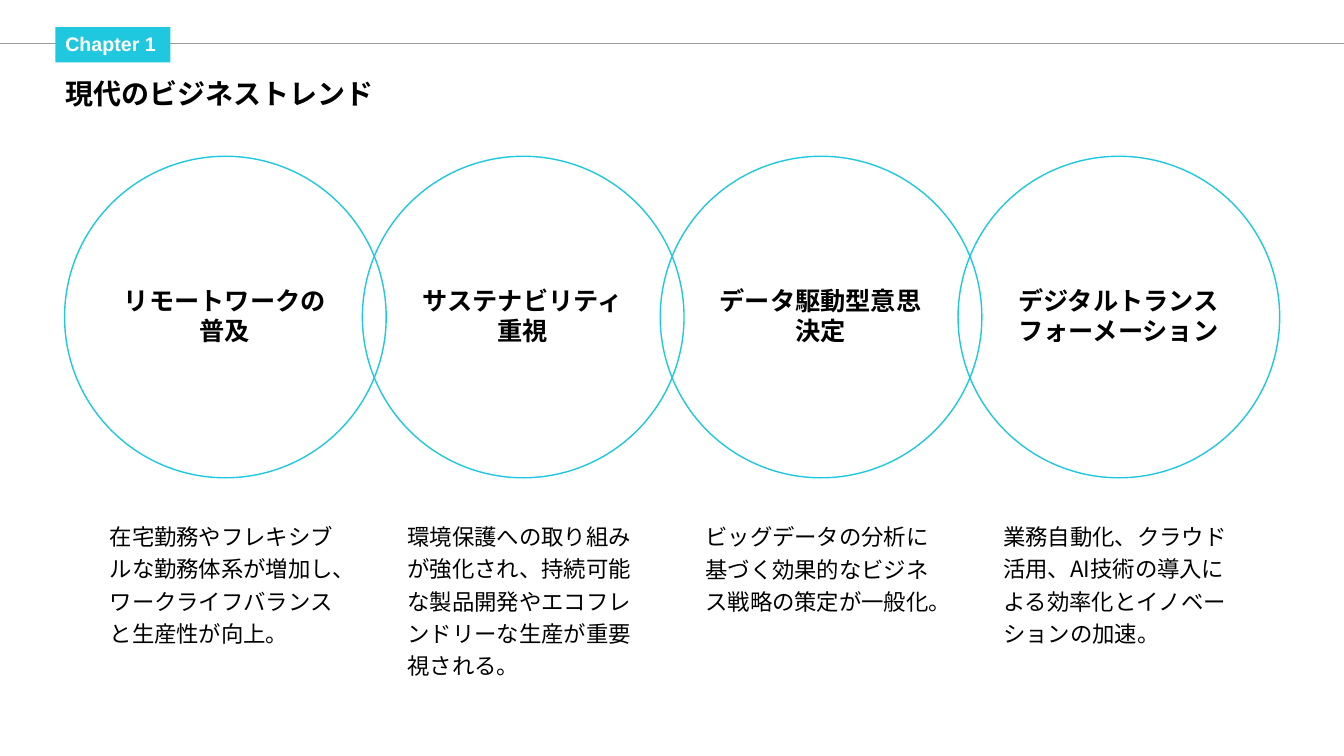
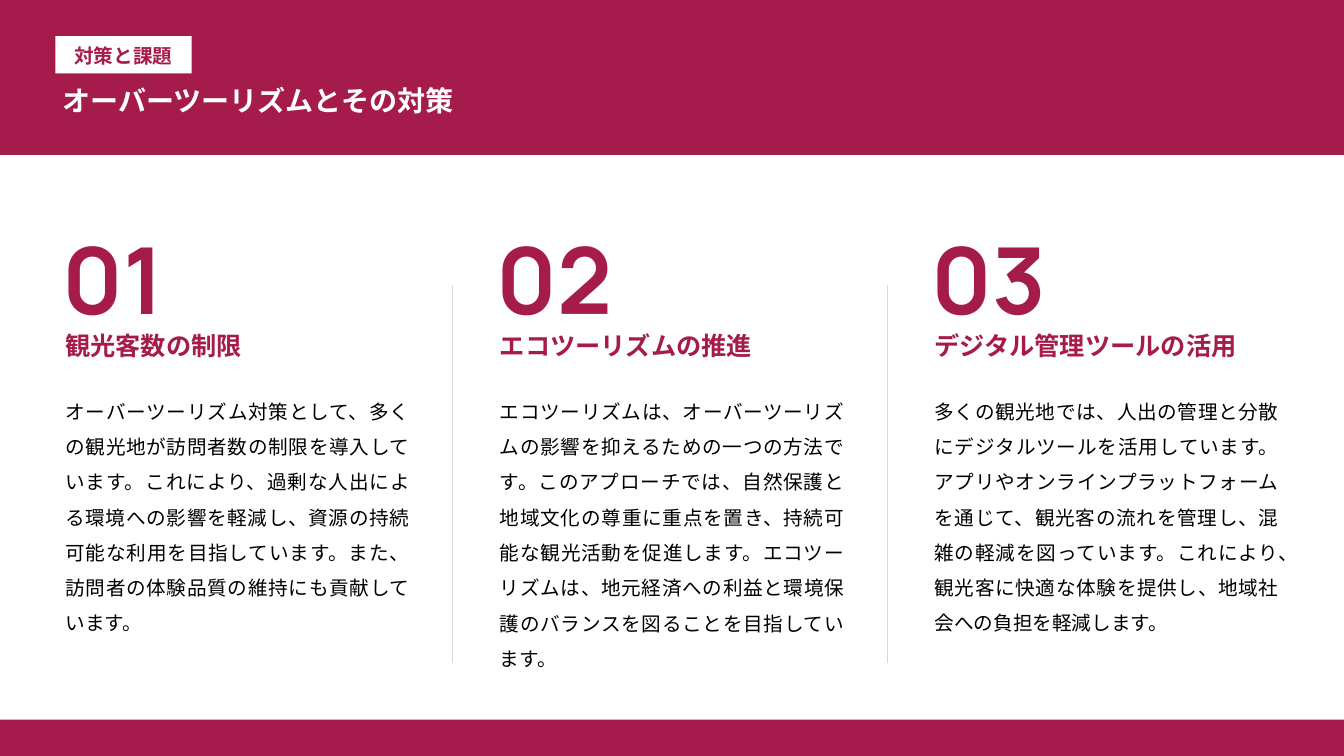
from lxml import etree
from pptx import Presentation
from pptx import util as u
from pptx.dml import color
from pptx.enum import lang, shapes, text
from pptx.oxml import ns

WIDTH, HEIGHT = 13.33, 7.5
JAPANESE_FONT = "Noto Sans CJK JP"
CYAN, CRIMSON, WHITE, BLACK = "1FC8DF", "A51B4C", "FFFFFF", "000000"
RULE_GREY, DIVIDER_GREY = "999999", "D9D9D9"
LEFT, CENTER, JUSTIFY = text.PP_ALIGN.LEFT, text.PP_ALIGN.CENTER, text.PP_ALIGN.JUSTIFY
RECTANGLE, OVAL = shapes.MSO_SHAPE.RECTANGLE, shapes.MSO_SHAPE.OVAL

TITLE = {"size": 20, "bold": True}
TAG = {"size": 14, "bold": True}
TREND_NAME = {"size": 18, "bold": True, "name": JAPANESE_FONT}
TREND_BODY = {"size": 16, "name": JAPANESE_FONT}
MEASURE_NUMBER = {"size": 66, "bold": True, "name": "Manrope"}
MEASURE_NAME = {"size": 18, "bold": True, "name": "Karla"}
MEASURE_BODY = {"size": 14, "name": "Karla"}

TRENDS = [
    ("リモートワークの普及",
     "在宅勤務やフレキシブルな勤務体系が増加し、ワークライフバランスと生産性が向上。", 1.37),
    ("サステナビリティ重視",
     "環境保護への取り組みが強化され、持続可能な製品開発やエコフレンドリーな生産が重要視される。", 1.7),
    ("データ駆動型意思決定",
     "ビッグデータの分析に基づく効果的なビジネス戦略の策定が一般化。", 1.05),
    ("デジタルトランスフォーメーション",
     "業務自動化、クラウド活用、AI技術の導入による効率化とイノベーションの加速。", 1.37),
]
MEASURES = [
    ("観光客数の制限",
     "オーバーツーリズム対策として、多くの観光地が訪問者数の制限を導入しています。"
     "これにより、過剰な人出による環境への影響を軽減し、資源の持続可能な利用を目指しています。"
     "また、訪問者の体験品質の維持にも貢献しています。", 2.53),
    ("エコツーリズムの推進",
     "エコツーリズムは、オーバーツーリズムの影響を抑えるための一つの方法です。"
     "このアプローチでは、自然保護と地域文化の尊重に重点を置き、持続可能な観光活動を促進します。"
     "エコツーリズムは、地元経済への利益と環境保護のバランスを図ることを目指しています。", 2.89),
    ("デジタル管理ツールの活用",
     "多くの観光地では、人出の管理と分散にデジタルツールを活用しています。"
     "アプリやオンラインプラットフォームを通じて、観光客の流れを管理し、混雑の軽減を図っています。"
     "これにより、観光客に快適な体験を提供し、地域社会への負担を軽減します。", 2.53),
]


def rgb(value):
    """Turn a hex string into a colour."""
    return color.RGBColor.from_string(value)


def lengths(*values):
    """Turn numbers into inches."""
    return [u.Inches(value) for value in values]


def write(box, words, style, ink, align=LEFT, spacing=None, top_inset=0.05):
    """Write one styled paragraph into a box that grows with its text."""
    frame = box.text_frame
    layout = {"word_wrap": True, "auto_size": text.MSO_AUTO_SIZE.SHAPE_TO_FIT_TEXT,
              "vertical_anchor": text.MSO_ANCHOR.TOP, "margin_top": u.Inches(top_inset)}
    for key, value in layout.items():
        setattr(frame, key, value)
    para = frame.paragraphs[0]
    para.alignment = align
    para.line_spacing = spacing
    span = para.add_run()
    span.text = words
    values = {**style, "size": u.Pt(style["size"]), "language_id": lang.MSO_LANGUAGE_ID.JAPANESE}
    for key, value in values.items():
        setattr(span.font, key, value)
    span.font.color.rgb = rgb(ink)
    latin = span.font._element.find(ns.qn("a:latin"))
    east_asian = etree.Element(ns.qn("a:ea"), typeface=JAPANESE_FONT)
    latin.addnext(east_asian)


def add_text(page, at, words, style, ink, **layout):
    """Add a text box."""
    write(page.shapes.add_textbox(*lengths(*at)), words, style, ink, **layout)


def add_figure(page, kind, at, fill=None, line=None):
    """Add a flat shape with an optional fill and outline."""
    box = page.shapes.add_shape(kind, *lengths(*at))
    box.shadow.inherit = False
    if fill:
        box.fill.solid()
        box.fill.fore_color.rgb = rgb(fill)
    else:
        box.fill.background()
    if line:
        box.line.color.rgb = rgb(line)
        box.line.width = u.Pt(1)
    else:
        box.line.fill.background()
    return box


def add_rule(page, start, end, ink, weight):
    """Add a straight line without a shadow."""
    rule = page.shapes.add_connector(shapes.MSO_CONNECTOR.STRAIGHT, *lengths(*start, *end))
    rule.line.color.rgb = rgb(ink)
    rule.line.width = u.Pt(weight)
    etree.SubElement(rule._element.spPr, ns.qn("a:effectLst"))


def add_heading(page, tag, tag_at, title, title_at, fill, tag_ink, title_ink, fonts, **tag_layout):
    """Add the small tag and the title below it."""
    tag_font, title_font = fonts
    box = add_figure(page, RECTANGLE, tag_at, fill)
    write(box, tag, {**TAG, "name": tag_font}, tag_ink, **tag_layout)
    add_text(page, title_at, title, {**TITLE, "name": title_font}, title_ink)


def add_page(deck, background):
    """Add a blank slide with a plain background."""
    page = deck.slides.add_slide(deck.slide_layouts[6])
    page.background.fill.solid()
    page.background.fill.fore_color.rgb = rgb(background)
    return page


def add_trend(page, left, top, name, body, body_height):
    """Add a ring with its name and the description below."""
    add_figure(page, OVAL, (left, top, 3.19, 3.19), line=CYAN)
    add_text(page, (left + 0.47, top + 1.23, 2.24, 0.71), name, TREND_NAME, BLACK, align=CENTER)
    add_text(page, (left + 0.35, top + 3.54, 2.47, body_height), body, TREND_BODY, BLACK,
             spacing=1.2)


def add_measure(page, left, top, number, name, body, body_height):
    """Add a numbered column with its name and text."""
    add_text(page, (left - 0.03, top, 2.6, 1.61), f"{number:02d}", MEASURE_NUMBER, CRIMSON,
             spacing=1.5)
    add_text(page, (left, top + 1.48, 3.47, 0.52), name, MEASURE_NAME, CRIMSON, spacing=1.5)
    add_text(page, (left, top + 2.2, 3.61, body_height), body, MEASURE_BODY, BLACK,
             align=JUSTIFY, spacing=1.5)


def build_trends(deck):
    """Build the slide with four linked rings."""
    page = add_page(deck, WHITE)
    add_rule(page, (0, 0.43), (WIDTH, 0.43), RULE_GREY, 0.75)
    add_heading(page, "Chapter 1", (0.55, 0.27, 1.14, 0.35),
                "現代のビジネストレンド", (0.55, 0.71, 4.76, 0.44),
                CYAN, WHITE, BLACK, ("Arial", JAPANESE_FONT))
    left, pitch = 0.64, 2.954
    for index, trend in enumerate(TRENDS):
        add_trend(page, left + index * pitch, 1.55, *trend)


def build_measures(deck):
    """Build the slide with three numbered columns."""
    page = add_page(deck, CRIMSON)
    add_figure(page, RECTANGLE, (0, 1.54, WIDTH, 5.6), WHITE)
    add_heading(page, "対策と課題", (0.55, 0.36, 1.35, 0.37),
                "オーバーツーリズムとその対策", (0.52, 0.78, 4.76, 0.44),
                WHITE, CRIMSON, WHITE, ("Karla", "Karla"), align=CENTER, top_inset=0.08)
    left, pitch = 0.55, 4.31
    for index, measure in enumerate(MEASURES):
        column = left + index * pitch
        add_measure(page, column, 1.6, index + 1, *measure)
        if index:
            divider = column - 0.37
            add_rule(page, (divider, 2.83), (divider, 6.58), DIVIDER_GREY, 0.5)


def main():
    """Build and save the deck."""
    deck = Presentation()
    deck.slide_width, deck.slide_height = lengths(WIDTH, HEIGHT)
    build_trends(deck)
    build_measures(deck)
    deck.save("out.pptx")


if __name__ == "__main__":
    main()
